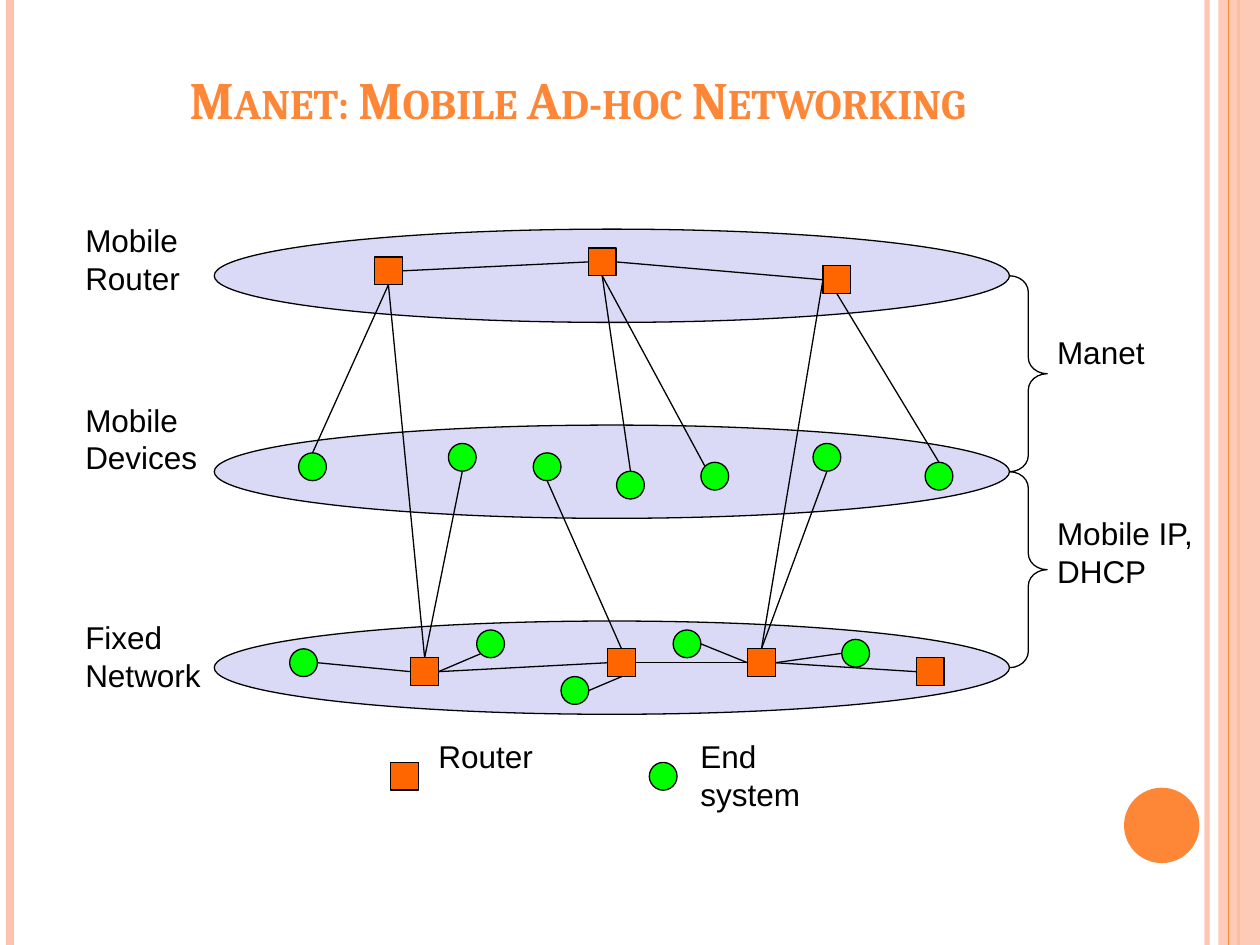
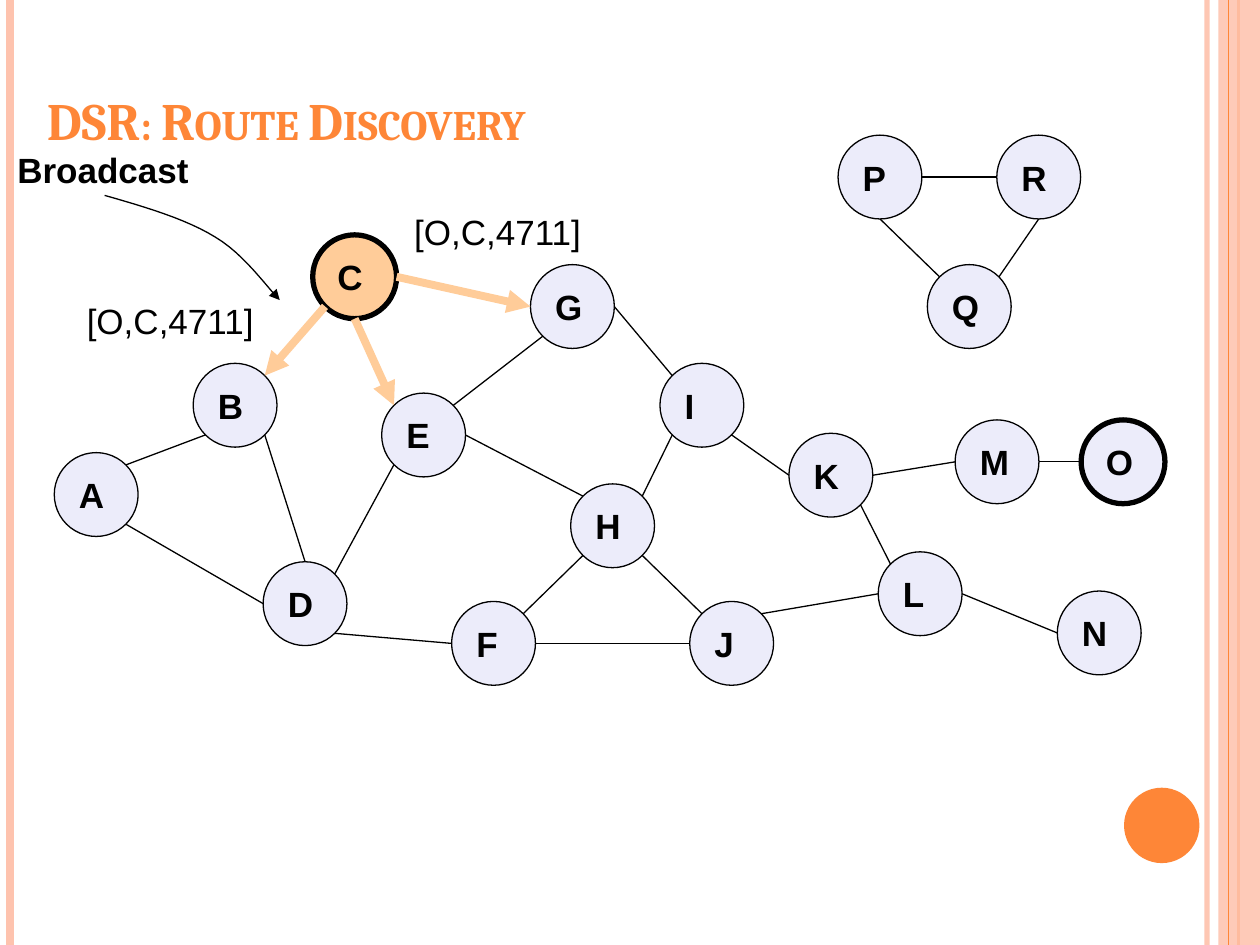
"""Build two slides on mobile ad-hoc networks and DSR route discovery."""
from pptx import Presentation, util as u
from pptx.dml.color import RGBColor
from pptx.enum import shapes as sh, text as tx
from pptx.oxml import ns, xmlchemy as xc

INK = {"accent": "FE8637", "band": "FEC3AE", "black": "000000",
       "layer": "DADAF6", "router": "FF6600", "host": "00FF00",
       "node": "ECECFA", "source": "FFCC99"}
RECT, OVAL, BRACE = (sh.MSO_SHAPE.RECTANGLE, sh.MSO_SHAPE.OVAL,
                     sh.MSO_SHAPE.RIGHT_BRACE)
WIDE, HIGH = 25.4, 19.05
DIAG = 0.5 ** 0.5
SIDES = {"n": (0, -1), "w": (-1, 0), "s": (0, 1), "e": (1, 0),
         "nw": (-DIAG, -DIAG), "ne": (DIAG, -DIAG),
         "sw": (-DIAG, DIAG), "se": (DIAG, DIAG)}
FRAME = {"word_wrap": True, "auto_size": tx.MSO_AUTO_SIZE.NONE}
HEAD = {"name": "Cambria", "size": u.Pt(30), "bold": True}
BODY = {"name": "Arial", "size": u.Pt(18), "bold": False}
LARGE = {**BODY, "size": u.Pt(20)}
BOLD = {**LARGE, "bold": True}

LAYER = {"x": 4.32, "y": 4.62, "w": 16.03, "h": 1.88, "step": 3.95}
LAYERS = [("Mobile\nRouter", 4.34), ("Mobile\nDevices", 7.95),
          ("Fixed\nNetwork", 12.34)]
SPANS = [("Manet", 6.58), ("Mobile IP,\nDHCP", 10.24)]
ROUTERS = {"r1": (7.83, 5.46), "r2": (12.14, 5.28), "r3": (16.87, 5.64),
           "f1": (8.56, 13.54), "f2": (12.53, 13.36), "f3": (15.35, 13.36),
           "f4": (18.75, 13.54), "key": (8.16, 15.65)}
HOSTS = {"d1": (6.3, 9.41), "d2": (9.32, 9.22), "d3": (11.03, 9.41),
         "d4": (12.71, 9.78), "d5": (14.41, 9.6), "d6": (16.67, 9.22),
         "d7": (18.93, 9.6), "h1": (6.12, 13.36), "h2": (9.89, 12.98),
         "h3": (11.59, 13.92), "h4": (13.85, 12.98), "h5": (17.25, 13.17),
         "sign": (13.37, 15.65)}
WIRES = """d1 n r1 s, r1 e r2 w, r2 e r3 w, f1 n d2 s, h1 e f1 w, d4 n r2 s,
d5 nw r2 s, d6 s f3 n, f1 n r1 s, f2 n d3 s, d7 n r3 s, f1 e h2 sw,
f1 e f2 w, h3 e f2 s, f3 w f2 e, h4 e f3 w, f3 e h5 w, f3 e f4 w, f3 n r3 w"""

NODES = {"A": (1.94, 9.97), "B": (4.74, 8.17), "C": (7.15, 5.58),
         "D": (6.15, 12.17), "E": (8.54, 8.77), "F": (9.95, 12.97),
         "G": (11.54, 6.18), "H": (12.35, 10.6), "I": (14.15, 8.17),
         "J": (14.75, 12.97), "K": (16.75, 9.58), "L": (18.55, 11.97),
         "M": (20.1, 9.31), "N": (22.16, 12.76), "O": (22.64, 9.31),
         "P": (17.74, 3.57), "Q": (19.54, 6.18), "R": (20.94, 3.57)}
EDGES = """A ne B sw, A se D w, B se D n, G sw E ne, E e H nw, E sw D ne,
D se F w, H sw F ne, G e I nw, I sw H ne, H se J nw, I se K w, J ne L w,
K se L nw, K e M w, L e N w, M e O w, P s Q nw, P e R w, Q ne R s, F e J w"""
FLOOD = "C sw B ne, C s E nw, C e G w"
CURVE = [(2.11, 3.94), (2.92, 4.17), (3.76, 4.42), (4.34, 4.78),
         (4.93, 5.13), (5.38, 5.79), (5.64, 6.05)]


def style(item, vals):
    """Set each named attribute on the item."""
    for key, val in vals.items():
        setattr(item, key, val)


def hue(name):
    """Give the colour for a name."""
    return RGBColor.from_string(INK[name])


def tag(top, name, **vals):
    """Add a drawing child with attributes to an XML element."""
    kid = xc.OxmlElement(name)
    for key, val in vals.items():
        kid.set(key, val)
    top.append(kid)


def fade(item, share):
    """Make the colours of a shape or line partly transparent."""
    for clr in item.element.spPr.iter(ns.qn("a:srgbClr")):
        tag(clr, "a:alpha", val=str(share * 1000))


def arrow(item):
    """Put an arrowhead at the end of a line."""
    tag(item.element.spPr.find(ns.qn("a:ln")), "a:tailEnd", type="triangle")


def write(item, words, font, tint="black", side=tx.PP_ALIGN.LEFT):
    """Fill a text frame, one paragraph a line."""
    frame = item.text_frame
    frame.text = words
    for par in frame.paragraphs:
        par.alignment = side
        for run in par.runs:
            style(run.font, font)
            run.font.color.rgb = hue(tint)


def label(slide, words, x, y, font=BODY, w=4):
    """Add a free text label."""
    box = slide.shapes.add_textbox(u.Cm(x), u.Cm(y), u.Cm(w), u.Cm(1.09))
    style(box.text_frame, FRAME)
    write(box, words, font)


def paint(item, fill, line="black", size=0.75):
    """Set fill, outline and shadow."""
    item.shadow.inherit = False
    if fill:
        item.fill.solid()
        item.fill.fore_color.rgb = hue(fill)
    else:
        item.fill.background()
    if line:
        item.line.color.rgb = hue(line)
        item.line.width = u.Pt(size)
    else:
        item.line.fill.background()


def shape(slide, kind, box, fill, **edge):
    """Add a preset shape in a box of left, top, width, height."""
    item = slide.shapes.add_shape(kind, *map(u.Cm, box))
    paint(item, fill, **edge)
    return item


def dot(slide, kind, spot, span, fill, **edge):
    """Add a shape around a centre."""
    x, y = spot
    box = (x - span / 2, y - span / 2, span, span)
    return shape(slide, kind, box, fill, **edge)


def line(slide, start, end, tint="black", size=0.75):
    """Add a straight line between two points."""
    item = slide.shapes.add_connector(sh.MSO_CONNECTOR.STRAIGHT, *start, *end)
    item.line.color.rgb = hue(tint)
    item.line.width = u.Pt(size)
    tag(item.element.spPr, "a:effectLst")
    return item


def port(item, side):
    """Find the point on the edge of a shape."""
    dx, dy = SIDES[side]
    return (int(item.left + item.width * (1 + dx) / 2),
            int(item.top + item.height * (1 + dy) / 2))


def link(slide, parts, plan, **pen):
    """Join parts by a plan of node and side pairs."""
    made = []
    for row in plan.split(","):
        a, out, b, into = row.split()
        wire = line(slide, port(parts[a], out), port(parts[b], into), **pen)
        for join, name, side in ((wire.begin_connect, a, out),
                                 (wire.end_connect, b, into)):
            if parts[name].auto_shape_type == RECT:
                join(parts[name], "nwse".index(side))
        made.append(wire)
    return made


def curve(slide, pts, steps=12):
    """Draw a chain of cubic curves with an arrowhead."""
    path = []
    for i in range(0, len(pts) - 1, 3):
        for k in range(1, steps + 1):
            t = k / steps
            mix = ((1 - t) ** 3, 3 * t * (1 - t) ** 2,
                   3 * t * t * (1 - t), t ** 3)
            path.append(tuple(
                u.Cm(sum(m * p[axis] for m, p in zip(mix, pts[i:i + 4])))
                for axis in (0, 1)))
    pen = slide.shapes.build_freeform(*map(u.Cm, pts[0]))
    pen.add_line_segments(path, close=False)
    item = pen.convert_to_shape()
    paint(item, None)
    arrow(item)


def bands(deck, slide):
    """Draw the side bands and move them to the master."""
    def rule(x, tint, size):
        return line(slide, (u.Cm(x), 0), (u.Cm(x), u.Cm(HIGH)), tint, size)
    thin = rule(24.33, "band", 3)
    fade(thin, 93)
    left, right = rule(0.2, "band", 4.5), rule(24.97, "accent", 1.5)
    strip = shape(slide, RECT, (24.56, 0, 0.84, HIGH), "band", line=None)
    fade(strip, 87)
    inner = rule(24.77, "accent", 0.75)
    disc = shape(slide, OVAL, (22.66, 15.88, 1.52, 1.52), "accent", line=None)
    for item in (thin, left, right, strip, inner, disc):
        deck.slide_master.shapes.element.append(item.element)


def page(deck, words, box, side):
    """Add a slide with a small-caps title."""
    slide = deck.slides.add_slide(deck.slide_layouts[5])
    head = slide.shapes.title
    style(head, dict(zip(("left", "top", "width", "height"), map(u.Cm, box))))
    style(head.text_frame, {**FRAME, "vertical_anchor": tx.MSO_ANCHOR.BOTTOM})
    write(head, words, HEAD, "accent", side)
    for props in head.element.iter(ns.qn("a:rPr")):
        props.set("cap", "small")
    return slide


def manet(slide):
    """Draw the three network layers."""
    x, y, w, h, step = LAYER.values()
    for i, (words, top) in enumerate(LAYERS):
        shape(slide, OVAL, (x, y + i * step, w, h), "layer")
        label(slide, words, 1.47, top)
    for i, (words, top) in enumerate(SPANS):
        brace = shape(slide, BRACE,
                      (x + w, y + h / 2 + i * step, 0.76, step), None)
        brace.adjustments[0] = 0.43
        label(slide, words, 21.06, top)
    parts = {}
    for kind, fill, spots in ((RECT, "router", ROUTERS),
                              (OVAL, "host", HOSTS)):
        for name, spot in spots.items():
            parts[name] = dot(slide, kind, spot, 0.56, fill)
    link(slide, parts, WIRES)
    label(slide, "Router", 8.59, 14.73)
    label(slide, "End system", 13.87, 14.73, w=2.9)


def route(slide):
    """Draw the node graph with the first broadcast."""
    label(slide, "Broadcast", 0.1, 2.87, BOLD)
    curve(slide, CURVE)
    parts = {}
    for name, spot in NODES.items():
        fill = "source" if name == "C" else "node"
        item = dot(slide, OVAL, spot, 1.69, fill,
                   size=3 if name in "CO" else 0.75)
        style(item.text_frame, {"word_wrap": False,
                                "vertical_anchor": tx.MSO_ANCHOR.MIDDLE})
        write(item, name, BOLD)
        parts[name] = item
    link(slide, parts, EDGES)
    for wire in link(slide, parts, FLOOD, tint="source", size=4.5):
        arrow(wire)
    for spot in ((8.1, 4.11), (1.5, 5.92)):
        label(slide, "[O,C,4711]", *spot, LARGE)


def main():
    """Build and save the deck."""
    deck = Presentation()
    style(deck, {"slide_width": u.Cm(WIDE), "slide_height": u.Cm(HIGH)})
    first = page(deck, "Manet: Mobile Ad-hoc Networking",
                 (1.27, 0.76, 20.75, 1.98), tx.PP_ALIGN.CENTER)
    bands(deck, first)
    manet(first)
    route(page(deck, "DSR: Route Discovery",
               (0.69, 0.38, 23.95, 2.79), tx.PP_ALIGN.LEFT))
    deck.save("out.pptx")


if __name__ == "__main__":
    main()
